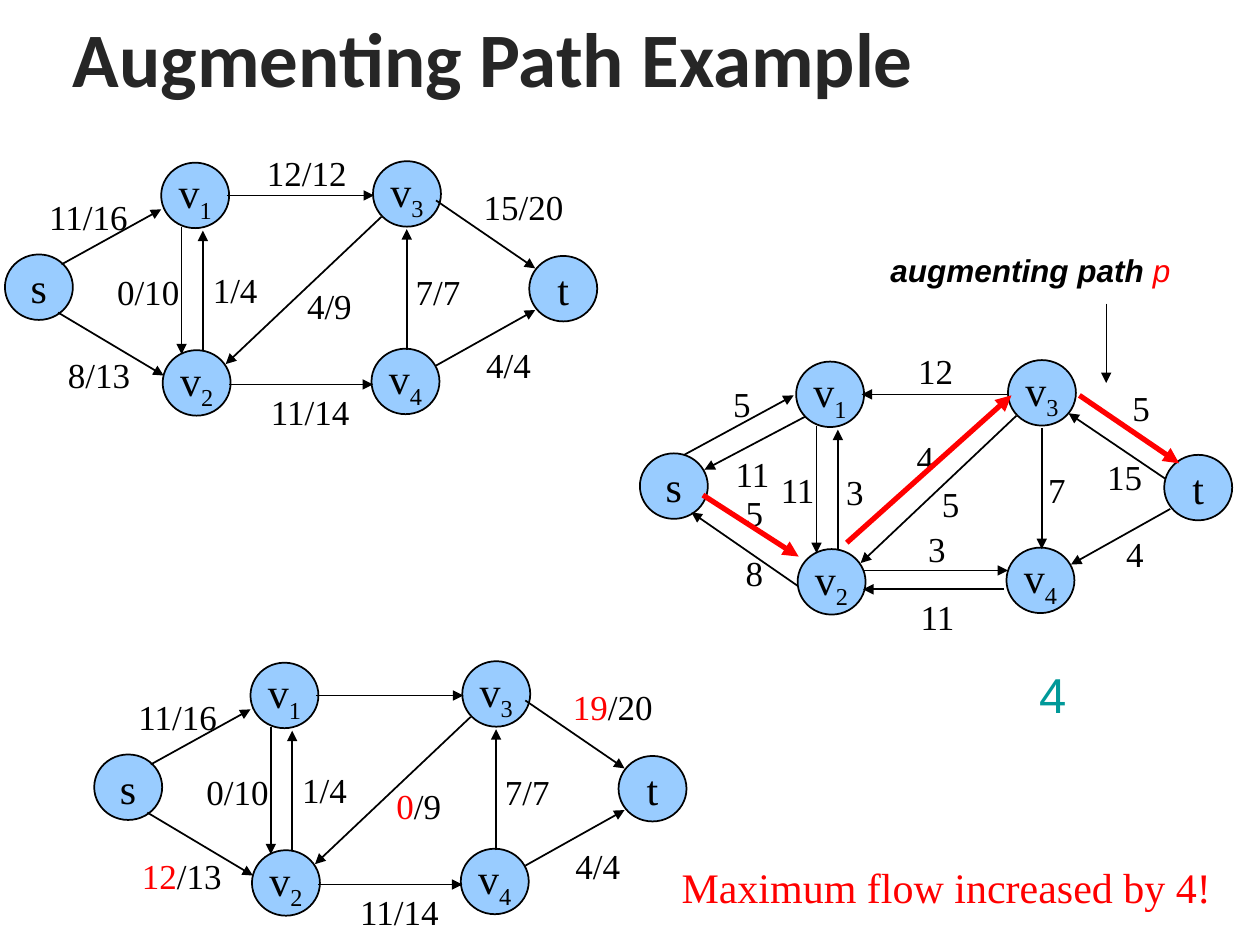
from pptx import Presentation
from pptx.dml.color import RGBColor
from pptx.enum.shapes import MSO_CONNECTOR, MSO_SHAPE
from pptx.enum.text import MSO_ANCHOR, MSO_AUTO_SIZE, PP_ALIGN
from pptx.oxml.ns import qn
from pptx.util import Cm, Pt
from lxml import etree

STRAIGHT, OVAL = MSO_CONNECTOR.STRAIGHT, MSO_SHAPE.OVAL
MIDDLE, CENTER = MSO_ANCHOR.MIDDLE, PP_ALIGN.CENTER
FIT, NO_FIT = MSO_AUTO_SIZE.SHAPE_TO_FIT_TEXT, MSO_AUTO_SIZE.NONE

THEME = {
    "ink": "000000", "title": "262626", "node": "99CCFF",
    "red": "FF0000", "teal": "009999",
    "head": "Calibri", "sans": "Arial", "serif": "Times New Roman",
    "title_pt": 44, "result_pt": 28, "node_pt": 24, "label_pt": 20, "note_pt": 18,
    "line_pt": 1, "path_pt": 3, "pointer_pt": 0.75,
}

# Positions are in cm; those inside a graph count from the corner of node s
NODE_W, NODE_H = 1.37, 1.32
NODES = {
    "s": (0, 0), "t": (10.57, 0.03), "v3": (7.42, -1.88),
    "v4": (7.39, 1.9), "v2": (3.18, 1.93), "v1": (3.15, -1.85),
}
FLOW_EDGES = {
    "s-v1": (1.14, 0.2, 3.15, -0.91), "s-v2": (1.07, 1.17, 3.2, 2.44),
    "v1-v2": (3.56, -0.56, 3.56, 2.01), "v2-v1": (3.99, 1.93, 3.99, -0.48),
    "v1-v3": (4.47, -1.19, 7.44, -1.19), "v3-v2": (7.59, -0.76, 4.45, 2.21),
    "v4-v3": (8.1, 1.93, 8.1, -0.51), "v2-v4": (4.52, 2.62, 7.42, 2.62),
    "v3-t": (8.69, -1.09, 10.69, 0.28), "v4-t": (8.69, 2.24, 10.69, 1.12),
}
FLOW_SLOTS = {
    "s-v1": (0.64, -1.32), "s-v2": (1.02, 1.88), "v1-v2": (2.01, 0.2),
    "v2-v1": (3.94, 0.15), "v1-v3": (5.03, -2.21), "v2-v4": (5.11, 2.62),
    "v3-v2": (5.84, 0.48), "v4-v3": (8.03, 0.2), "v3-t": (9.4, -1.52),
    "v4-t": (9.45, 1.68),
}
FLOW = {
    "s-v1": "11/16", "s-v2": "8/13", "v1-v2": "0/10", "v2-v1": "1/4",
    "v1-v3": "12/12", "v2-v4": "11/14", "v3-v2": "4/9", "v4-v3": "7/7",
    "v3-t": "15/20", "v4-t": "4/4",
}
# The part before "|" is a changed value, set in red
NEW_FLOW = FLOW | {"s-v2": "12|/13", "v3-v2": "0|/9", "v3-t": "19|/20"}
del NEW_FLOW["v1-v3"]
NEW_SLOTS = FLOW_SLOTS | {"s-v2": (0.71, 1.9)}

SHARED_EDGES = ["v1-v2", "v2-v1", "v3-v2"]
REVERSED_EDGES = ["v1-v3", "v4-v3", "v4-t"]
RESIDUAL_EDGES = [
    (4.52, 2.36, 7.42, 2.36), (7.34, 2.74, 4.5, 2.74),
    (0.89, 0.03, 3.1, -1.17), (3.33, -0.74, 1.3, 0.33),
    (3.18, 2.67, 1.04, 1.19), (10.59, 0.51, 8.64, -0.81),
]
PATH_EDGES = [(1.27, 0.84, 3.2, 2.08), (4.17, 1.8, 7.49, -1.17), (8.86, -1.17, 10.87, 0.2)]
RESIDUAL_LABELS = [
    (2.59, 0.18, "11"), (3.91, 0.23, "3"), (5.36, -2.21, "12"), (5.84, 0.46, "5"),
    (9.55, 1.47, "4"), (1.63, -1.55, "5"), (1.68, -0.15, "11"), (1.88, 0.64, "5"),
    (1.88, 1.85, "8"), (5.33, -0.46, "4"), (5.56, 1.37, "3"), (5.41, 2.74, "11"),
    (7.98, 0.18, "7"), (9.68, -1.47, "5"), (9.17, -0.08, "15"),
]


def flow_graph(origin, values, slots):
    return {
        "origin": origin, "edges": list(FLOW_EDGES.values()), "path": [],
        "labels": [(*slots[edge], text) for edge, text in values.items()],
    }


GRAPHS = [
    flow_graph((0.1, 5.13), FLOW, FLOW_SLOTS),
    {
        "origin": (12.9, 9.14),
        "edges": [FLOW_EDGES[e] for e in SHARED_EDGES]
        + [FLOW_EDGES[e][2:] + FLOW_EDGES[e][:2] for e in REVERSED_EDGES]
        + RESIDUAL_EDGES,
        "path": PATH_EDGES, "labels": RESIDUAL_LABELS,
    },
    flow_graph((1.9, 15.21), NEW_FLOW, NEW_SLOTS),
]
POINTER = (22.3, 6.12, 22.3, 7.72)
# Box, runs of (text, colour, bold, italic), font, size
CAPTIONS = [
    ((17.7, 4.93, 6.15, 1.02), [("augmenting path ", "ink", True, True),
                                ("p", "red", False, True)], "sans", "note_pt"),
    ((13.49, 17.25, 11.4, 1.27), [("Maximum flow increased by 4!", "red", False, False)],
     "serif", "node_pt"),
    ((20.7, 13.28, 1.8, 1.45), [("4", "teal", False, False)], "sans", "result_pt"),
]


def color(name):
    return RGBColor.from_string(THEME[name])


def add_run(p, text, font, size, ink="ink", bold=False, italic=False):
    r = p.add_run()
    r.text = text
    r.font.name, r.font.size = THEME[font], Pt(THEME[size])
    r.font.color.rgb = color(ink)
    r.font.bold, r.font.italic = bold, italic
    return r


def add_text(s, box, runs, font, size, wrap=False, fit=FIT):
    tf = s.shapes.add_textbox(*map(Cm, box)).text_frame
    tf.word_wrap, tf.auto_size = wrap, fit
    for text, *style in runs:
        add_run(tf.paragraphs[0], text, font, size, *style)
    return tf


def add_node(s, x, y, name):
    sp = s.shapes.add_shape(OVAL, Cm(x), Cm(y), Cm(NODE_W), Cm(NODE_H))
    sp.shadow.inherit = False
    sp.fill.solid()
    sp.fill.fore_color.rgb = color("node")
    sp.line.color.rgb, sp.line.width = color("ink"), Pt(THEME["line_pt"])
    tf = sp.text_frame
    tf.word_wrap, tf.vertical_anchor = False, MIDDLE
    p = tf.paragraphs[0]
    p.alignment = CENTER
    add_run(p, name[0], "serif", "node_pt")
    if name[1:]:
        r = add_run(p, name[1:], "serif", "node_pt")
        r.font._element.set("baseline", "-25000")


def add_arrow(s, ends, ink="ink", width="line_pt"):
    line = s.shapes.add_connector(STRAIGHT, *map(Cm, ends))
    line.line.color.rgb, line.line.width = color(ink), Pt(THEME[width])
    etree.SubElement(line.line._get_or_add_ln(), qn("a:tailEnd"), type="triangle")
    etree.SubElement(line._element.spPr, qn("a:effectLst"))


def add_label(s, x, y, text):
    changed, _, rest = text.rpartition("|")
    slashes = text.count("/")
    digits = len(changed + rest) - slashes
    width = 0.51 + 0.35 * digits + 0.2 * slashes
    runs = [(part, ink) for part, ink in ((changed, "red"), (rest, "ink")) if part]
    add_text(s, (x, y, width, 1.09), runs, "serif", "label_pt")


def add_graph(s, graph):
    ox, oy = graph["origin"]
    for name, (x, y) in NODES.items():
        add_node(s, ox + x, oy + y, name)
    for x, y, text in graph["labels"]:
        add_label(s, ox + x, oy + y, text)
    for edges, style in ((graph["edges"], ()), (graph["path"], ("red", "path_pt"))):
        for x1, y1, x2, y2 in edges:
            add_arrow(s, (ox + x1, oy + y1, ox + x2, oy + y2), *style)


def main():
    prs = Presentation()
    prs.slide_width, prs.slide_height = Cm(25.4), Cm(19.05)
    s = prs.slides.add_slide(prs.slide_layouts[6])

    # Title
    tf = add_text(s, (1.22, 0.2, 23.34, 1.9), [("Augmenting Path Example", "title", True)],
                  "head", "title_pt", wrap=True, fit=NO_FIT)
    tf.vertical_anchor = MIDDLE

    # Flow before, residual network, flow after
    for graph in GRAPHS:
        add_graph(s, graph)

    # Captions and the pointer to the augmenting path
    for box, runs, font, size in CAPTIONS:
        add_text(s, box, runs, font, size)
    add_arrow(s, POINTER, width="pointer_pt")

    prs.save("out.pptx")


if __name__ == "__main__":
    main()
